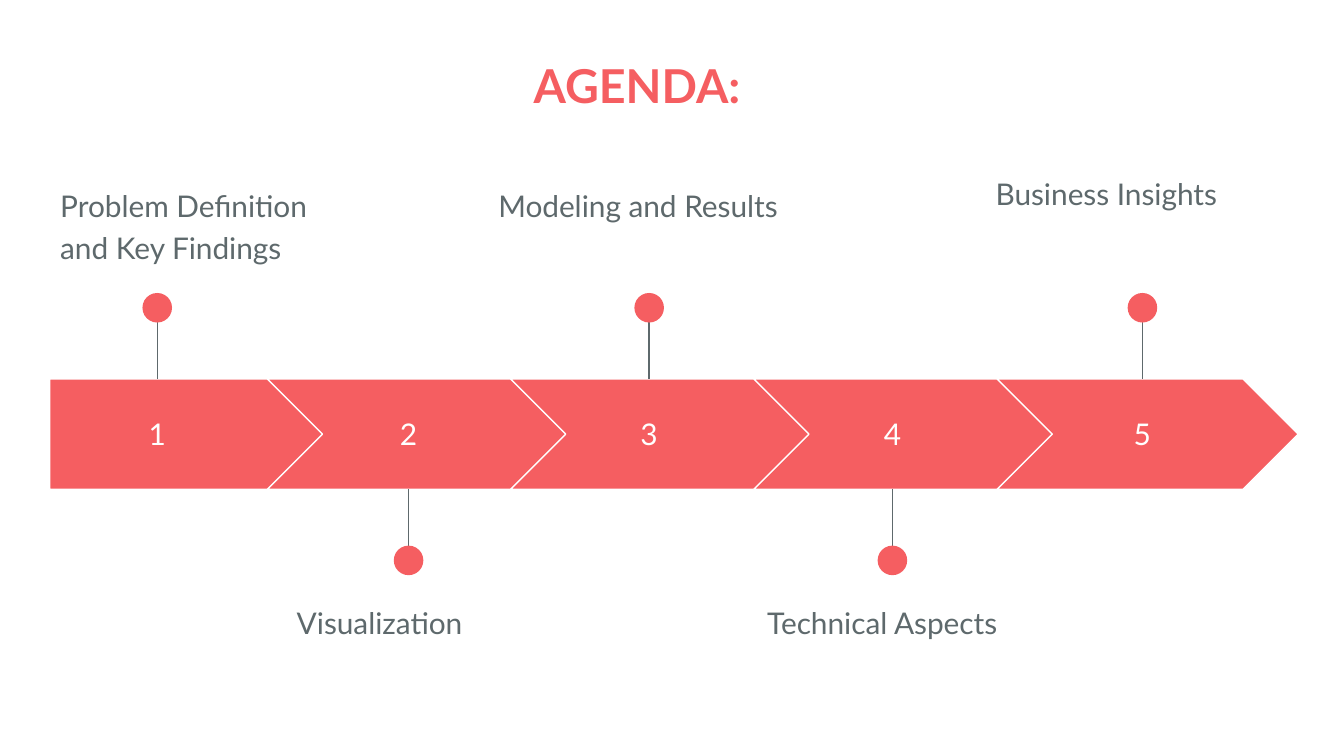
from lxml.etree import SubElement
from pptx import Presentation
from pptx.dml.color import RGBColor
from pptx.enum.shapes import MSO_CONNECTOR as CONNECTOR, MSO_SHAPE as SHAPE
from pptx.enum.text import MSO_ANCHOR as ANCHOR, PP_ALIGN as ALIGN
from pptx.oxml.ns import qn
from pptx.util import Inches, Pt

CORAL, SLATE, WHITE = "F55E61", "5E696C", "FFFFFF"
FONT = "Lato"
TITLE = "AGENDA:"

# label, label left, label top, pin centre
STEPS = [
    ("Problem Definition and Key Findings", 0.35, 1.26, 1.17),
    ("Visualization", 2.11, 4.36, 3.04),
    ("Modeling and Results", 3.61, 1.26, 4.83),
    ("Technical Aspects", 5.61, 4.36, 6.64),
    ("Business Insights", 7.31, 1.17, 8.5),
]

PAGE_WIDTH = 10
BAND_TOP, BAND_HEIGHT = 2.82, 0.82
FIRST_LEFT, FIRST_WIDTH = 0.37, 2.05
CHEVRON_LEFT, CHEVRON_WIDTH, CHEVRON_STEP = 1.99, 2.24, 1.81
NUMBER_WIDTH, NUMBER_HEIGHT = 1.44, 0.51
LABEL_WIDTH, LABEL_HEIGHT = 2.44, 0.99
PIN_LENGTH, DOT = 0.53, 0.22


def color(value):
    return RGBColor.from_string(value)


def write(box, text, size, ink, align=ALIGN.LEFT, anchor=ANCHOR.TOP, bold=False):
    frame = box.text_frame
    frame.text = text
    frame.word_wrap = True
    frame.vertical_anchor = anchor
    frame.margin_left = frame.margin_right = Inches(0.1)
    frame.margin_top = frame.margin_bottom = Inches(0.1)
    para = frame.paragraphs[0]
    para.alignment = align
    font = para.runs[0].font
    font.name, font.size, font.bold = FONT, Pt(size), bold
    font.color.rgb = color(ink)
    return para


def add_filled(shapes, kind, left, top, width, height):
    shape = shapes.add_shape(kind, Inches(left), Inches(top), Inches(width), Inches(height))
    shape.shadow.inherit = False
    shape.fill.solid()
    shape.fill.fore_color.rgb = color(CORAL)
    shape.line.fill.background()
    return shape


def add_arrow(shapes, index):
    if index == 0:
        kind, left, width = SHAPE.PENTAGON, FIRST_LEFT, FIRST_WIDTH
    else:
        kind, width = SHAPE.CHEVRON, CHEVRON_WIDTH
        left = CHEVRON_LEFT + (index - 1) * CHEVRON_STEP
    arrow = add_filled(shapes, kind, left, BAND_TOP, width, BAND_HEIGHT)
    arrow.adjustments[0] = 0.5
    arrow.line.color.rgb = color(WHITE)
    arrow.line.width = Pt(0.75)


def add_pin(shapes, center, above):
    """Join a dot to the top or bottom edge of the arrow band."""
    edge = BAND_TOP if above else BAND_TOP + BAND_HEIGHT
    tip = edge - PIN_LENGTH if above else edge + PIN_LENGTH
    pin = shapes.add_group_shape().shapes
    stem = pin.add_connector(
        CONNECTOR.STRAIGHT, Inches(center), Inches(tip), Inches(center), Inches(edge))
    stem.line.color.rgb = color(SLATE)
    stem.line.width = Pt(0.75)
    SubElement(stem._element.spPr, qn("a:effectLst"))
    add_filled(pin, SHAPE.OVAL, center - DOT / 2, tip - DOT / 2, DOT, DOT)


def add_text(shapes, left, top, width, height, *content, **style):
    box = shapes.add_textbox(Inches(left), Inches(top), Inches(width), Inches(height))
    return write(box, *content, **style)


def main():
    deck = Presentation()
    deck.slide_width, deck.slide_height = Inches(PAGE_WIDTH), Inches(PAGE_WIDTH * 9 / 16)
    page = deck.slides.add_slide(deck.slide_layouts[5])
    shapes = page.shapes

    title = shapes.title
    title.left, title.top = Inches(2.65), Inches(0.32)
    title.width, title.height = Inches(4.18), Inches(0.62)
    write(title, TITLE, 25, CORAL, align=ALIGN.CENTER, bold=True)

    for index, (label, left, top, center) in enumerate(STEPS):
        add_arrow(shapes, index)
        add_text(shapes, center - NUMBER_WIDTH / 2, 2.97, NUMBER_WIDTH, NUMBER_HEIGHT,
                 str(index + 1), 16, WHITE, align=ALIGN.CENTER, anchor=ANCHOR.MIDDLE)
        add_pin(shapes, center, above=index % 2 == 0)
        para = add_text(shapes, left, top, LABEL_WIDTH, LABEL_HEIGHT, label, 16, SLATE)
        para.line_spacing = 1.15
        para.space_after = Pt(12)

    deck.save("out.pptx")


if __name__ == "__main__":
    main()
